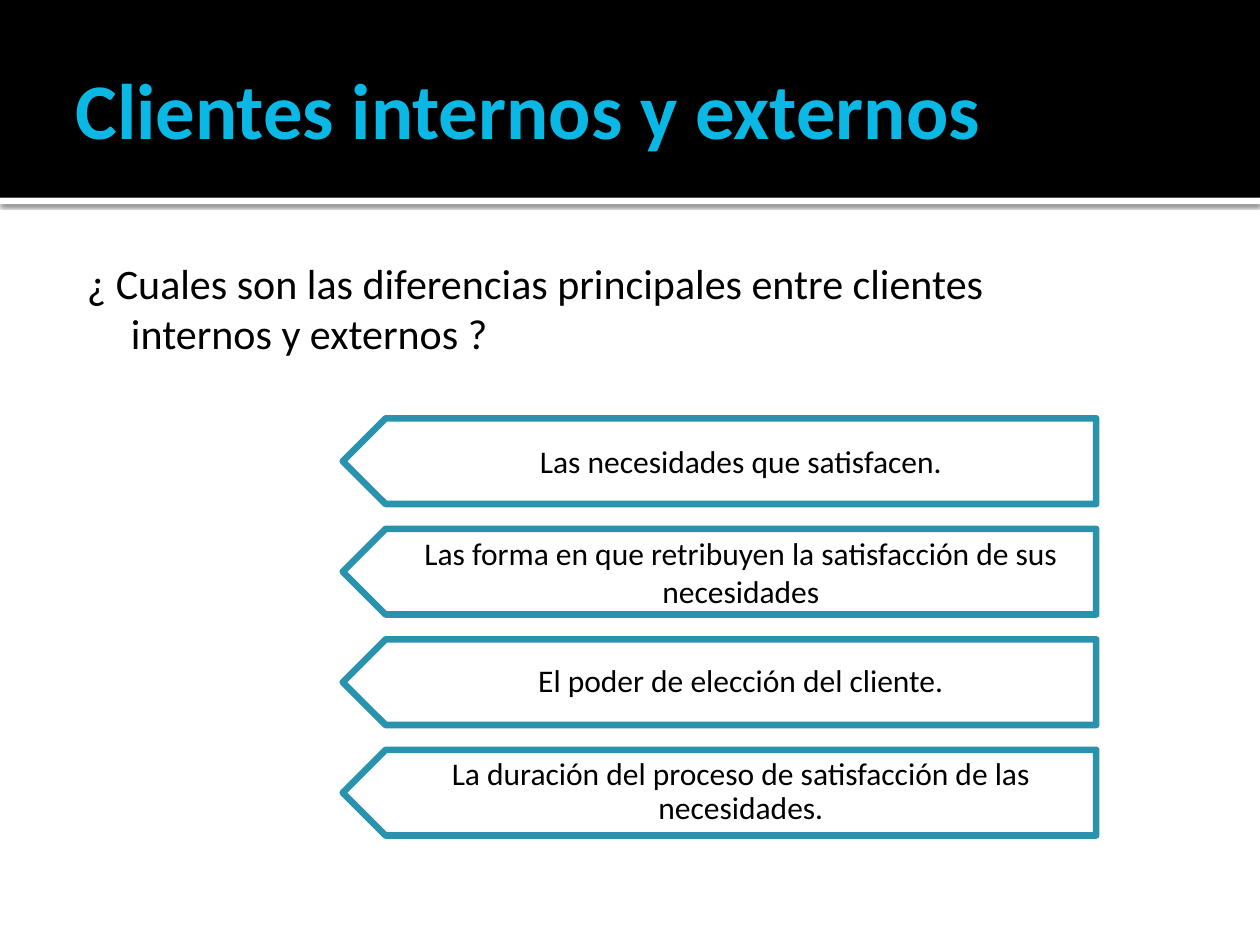
"""Build the slide on the differences between internal and external clients."""
import pptx
import pptx.dml.color
import pptx.enum.shapes
import pptx.enum.text
import pptx.oxml
import pptx.util

Inches = pptx.util.Inches
Pt = pptx.util.Pt
SHAPE = pptx.enum.shapes.MSO_SHAPE
ANCHOR = pptx.enum.text.MSO_ANCHOR
ALIGN = pptx.enum.text.PP_ALIGN


def paint(target, color):
    if hasattr(target, "solid"):
        target.solid()
        target = target.fore_color
    else:
        target = target.color
    target.rgb = pptx.dml.color.RGBColor.from_string(color)


def add_text(shapes, text, box, insets, anchor, para, font, color):
    s = shapes.add_textbox(*[Inches(v) for v in box])
    tf = s.text_frame
    tf.word_wrap = True
    tf.vertical_anchor = anchor
    for side, value in zip(("left", "top", "right", "bottom"), insets):
        setattr(tf, f"margin_{side}", Inches(value))
    p = tf.paragraphs[0]
    for name, value in para.items():
        setattr(p, name, value)
    r = p.add_run()
    r.text = text
    for name, value in {"name": "Calibri", **font}.items():
        setattr(r.font, name, value)
    paint(r.font, color)
    return p


prs = pptx.Presentation()
prs.slide_width, prs.slide_height = Inches(10), Inches(7.5)
slide = prs.slides.add_slide(prs.slide_layouts[6])
paint(slide.background.fill, "FFFFFF")

for top, height, color in ((1.57, 0.05, "FFFFFF"), (0, 1.57, "000000")):
    s = slide.shapes.add_shape(SHAPE.RECTANGLE, 0, Inches(top), Inches(10), Inches(height))
    s.shadow.inherit = False
    paint(s.fill, color)
    s.line.fill.background()
    if top:
        effects = s._element.spPr.find(pptx.oxml.ns.qn("a:effectLst"))
        effects.append(pptx.oxml.parse_xml(
            f'<a:outerShdw {pptx.oxml.ns.nsdecls("a")} blurRad="{Pt(2.5)}" dist="{Pt(0.8)}" '
            'dir="5400000" rotWithShape="0"><a:srgbClr val="000000">'
            '<a:alpha val="60000"/></a:srgbClr></a:outerShdw>'))

add_text(slide.shapes, "Clientes internos y externos", (0.5, 0.17, 9, 1.37),
         (0.1, 0.05, 0.05, 0.05), ANCHOR.MIDDLE, {},
         {"size": Pt(45), "bold": True}, "09B8E4")

p = add_text(slide.shapes,
             "¿ Cuales son las diferencias principales entre clientes internos y externos ?",
             (0.5, 1.94, 8.44, 0.94), (0.06, 0.1, 0.1, 0.05), ANCHOR.TOP, {},
             {"size": Pt(24)}, "000000")
pPr = p._p.get_or_add_pPr()
pPr.set("marL", str(Inches(0.48)))
pPr.set("indent", str(Inches(-0.35)))

centered = {"alignment": ALIGN.CENTER}
tight = {**centered, "line_spacing": 0.9, "space_after": Pt(6.3)}
differences = (
    ("Las necesidades que satisfacen.", centered),
    ("Las forma en que retribuyen la satisfacción de sus necesidades", centered),
    ("El poder de elección del cliente.", tight),
    ("La duración del proceso de satisfacción de las necesidades.", tight),
)
for i, (text, para) in enumerate(differences):
    top = 3.32 + 0.877 * i
    group = slide.shapes.add_group_shape()
    s = group.shapes.add_shape(SHAPE.PENTAGON, Inches(2.72), Inches(top),
                               Inches(5.98), Inches(0.68))
    s.rotation = 180
    s.shadow.inherit = False
    paint(s.fill, "FFFFFF")
    paint(s.line, "2993AD")
    s.line.width = Pt(3.78)
    add_text(group.shapes, text, (2.89, top, 5.82, 0.68), (0.3, 0.07, 0.14, 0.07),
             ANCHOR.MIDDLE, para, {"size": Pt(18)}, "000000")

prs.save("out.pptx")
